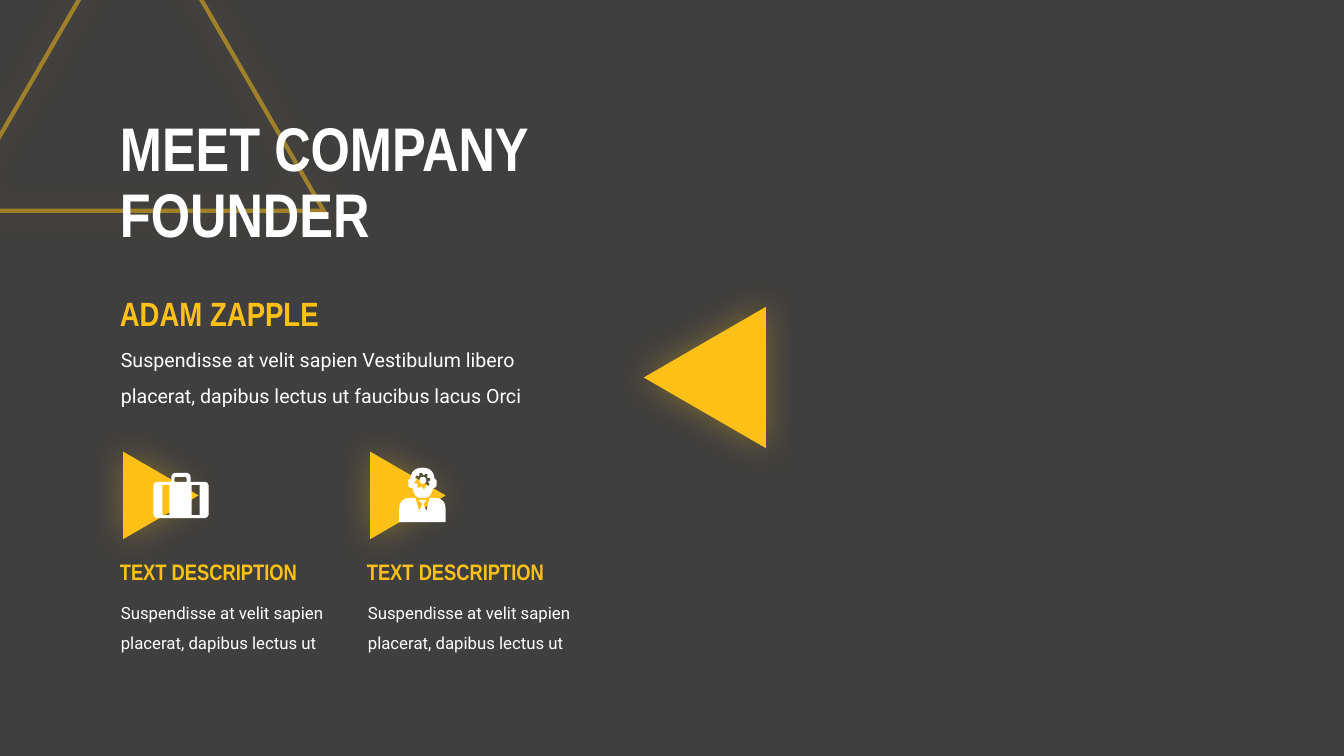
import math
from lxml import etree
from pptx import Presentation
from pptx import util as u
from pptx.dml.color import RGBColor
from pptx.enum import shapes, text
from pptx.oxml.ns import qn

GOLD = RGBColor(0xFF, 0xC1, 0x18)
WHITE = RGBColor(0xFF, 0xFF, 0xFF)
CHARCOAL = RGBColor(0x3F, 0x3F, 0x3F)

HEADING = {"name": "Arial Narrow", "bold": True}
BODY = {"name": "Roboto", "bold": False}


def rounded(corners, steps=6):
    """Turn (x, y, radius) corners into outline points."""
    points = []
    for i, (x, y, radius) in enumerate(corners):
        if not radius:
            points.append((x, y))
            continue
        ends = []
        for nx, ny, _ in (corners[i - 1], corners[(i + 1) % len(corners)]):
            share = radius / math.hypot(nx - x, ny - y)
            ends.append((x + share * (nx - x), y + share * (ny - y)))
        (ax, ay), (bx, by) = ends
        for step in range(steps + 1):
            t = step / steps
            a, c, b = (1 - t) ** 2, 2 * t * (1 - t), t * t
            points.append((a * ax + c * x + b * bx, a * ay + c * y + b * by))
    return points


def block(left, top, right, bottom, radius=0):
    """Rectangle whose top corners may be rounded."""
    return rounded([(left, top, radius), (right, top, radius),
                    (right, bottom, 0), (left, bottom, 0)])


def gear(x, y, inner, outer, teeth=8):
    points = []
    for tooth in range(teeth):
        for offset, radius in ((-17, inner), (-9, outer), (9, outer), (17, inner)):
            angle = math.radians(tooth * 360 / teeth + offset - 12)
            points.append((x + radius * math.cos(angle), y + radius * math.sin(angle)))
    return points


class FounderSlide:
    def __init__(self, deck):
        self.page = deck.slides.add_slide(deck.slide_layouts[5])
        fill = self.page.background.fill
        fill.solid()
        fill.fore_color.rgb = CHARCOAL

    def set_alpha(self, color, percent):
        etree.SubElement(color, qn("a:alpha"), val=str(percent * 1000))

    def paint(self, shape, color):
        shape.shadow.inherit = False
        shape.fill.solid()
        shape.fill.fore_color.rgb = color
        shape.line.fill.background()

    def glow(self, shape):
        shape.shadow.inherit = False
        effects = shape.element.spPr.find(qn("a:effectLst"))
        shadow = etree.SubElement(effects, qn("a:outerShdw"), blurRad=str(u.Pt(25)),
                                  dist="0", dir="0", algn="ctr", rotWithShape="0")
        self.set_alpha(etree.SubElement(shadow, qn("a:srgbClr"), val=str(GOLD)), 35)

    def preset(self, kind, place, color, parent=None):
        home = parent or self.page
        shape = home.shapes.add_shape(kind, *map(u.Inches, place))
        self.paint(shape, color)
        return shape

    def triangle(self, place, rotation=0):
        shape = self.preset(shapes.MSO_SHAPE.ISOSCELES_TRIANGLE, place, GOLD)
        shape.rotation = rotation
        self.glow(shape)
        return shape

    def outline_triangle(self, place):
        shape = self.triangle(place)
        shape.fill.background()
        shape.line.color.rgb = GOLD
        shape.line.width = u.Pt(3)
        line = shape.element.spPr.find(qn("a:ln"))
        self.set_alpha(line.find(".//" + qn("a:srgbClr")), 50)
        etree.SubElement(line, qn("a:miter"), lim="800000")

    def icon(self, contours, parent=None):
        home = parent or self.page
        start, *rest = contours
        builder = home.shapes.build_freeform(*(v * 1000 for v in start[0]),
                                             scale=u.Inches(1) / 1000)
        builder.add_line_segments([(x * 1000, y * 1000) for x, y in start[1:]])
        for contour in rest:
            builder.move_to(*(v * 1000 for v in contour[0]))
            builder.add_line_segments([(x * 1000, y * 1000) for x, y in contour[1:]])
        self.paint(builder.convert_to_shape(), WHITE)

    def set_text(self, box, words, style, size, color, spacing, frame_format):
        frame = box.text_frame
        for key, value in {"word_wrap": True, **frame_format}.items():
            setattr(frame, key, value)
        frame.text = words
        para = frame.paragraphs[0]
        para.alignment = text.PP_ALIGN.LEFT
        para.line_spacing = spacing
        for span in para.runs:
            for key, value in {**style, "size": u.Pt(size)}.items():
                setattr(span.font, key, value)
            span.font.color.rgb = color

    def label(self, place, words, style, size, color, spacing=1.0):
        box = self.page.shapes.add_textbox(*map(u.Inches, place))
        self.set_text(box, words, style, size, color, spacing,
                      {"auto_size": text.MSO_AUTO_SIZE.SHAPE_TO_FIT_TEXT})

    def title(self, place, words):
        box = self.page.shapes.title
        box.left, box.top, box.width, box.height = map(u.Inches, place)
        self.set_text(box, words, HEADING, 44, WHITE, 0.9,
                      {"auto_size": text.MSO_AUTO_SIZE.NONE,
                       "vertical_anchor": text.MSO_ANCHOR.MIDDLE})
        # Bring the title in front of what is already drawn
        box.element.getparent().append(box.element)


def main():
    deck = Presentation()
    deck.slide_width, deck.slide_height = u.Inches(13.33), u.Inches(7.5)
    slide = FounderSlide(deck)

    # Heading and founder
    slide.outline_triangle((-0.43, -1.05, 3.64, 3.14))
    slide.title((1.09, 1.04, 5.62, 1.58), "MEET COMPANY\vFOUNDER")
    slide.triangle((6.29, 3.14, 1.4, 1.21), 270)
    slide.label((1.1, 3.29, 4.51, 0.77),
                "Suspendisse at velit sapien Vestibulum libero placerat, "
                "dapibus lectus ut faucibus lacus Orci", BODY, 14, WHITE, 1.5)
    slide.label((1.09, 2.86, 2.45, 0.5), "ADAM ZAPPLE", HEADING, 24, GOLD)

    # Two description columns
    for column in range(2):
        shift = column * 2.45
        slide.triangle((1.16 + shift, 4.54, 0.87, 0.75), 90)
        slide.label((1.1 + shift, 5.83, 2.32, 0.67),
                    "Suspendisse at velit sapien placerat, dapibus lectus ut",
                    BODY, 12, WHITE, 1.5)
        slide.label((1.09 + shift, 5.49, 2.21, 0.37), "TEXT DESCRIPTION",
                    HEADING, 16, GOLD)

    # Suitcase icon
    case = rounded([(1.52, 4.78, 0.05), (1.7, 4.78, 0), (1.7, 4.69, 0.05),
                    (1.89, 4.69, 0.05), (1.89, 4.78, 0), (2.07, 4.78, 0.05),
                    (2.07, 5.14, 0.05), (1.52, 5.14, 0.05)])
    slide.icon([case, block(1.61, 4.81, 1.68, 5.11), block(1.9, 4.81, 1.98, 5.11),
                block(1.73, 4.73, 1.85, 4.78, 0.02)])

    # Thinker icon: suit, head with gear, gear hub
    thinker = slide.page.shapes.add_group_shape()
    suit = rounded([(3.96, 4.94, 0.11), (4.12, 4.94, 0), (4.16, 5.07, 0),
                    (4.19, 5, 0), (4.15, 4.96, 0), (4.23, 4.96, 0), (4.2, 5, 0),
                    (4.23, 5.07, 0), (4.26, 4.94, 0), (4.42, 4.94, 0.11),
                    (4.42, 5.18, 0), (3.96, 5.18, 0)])
    head = rounded([(4.31, 4.75, 0), (4.33, 4.76, 0.01), (4.33, 4.84, 0.03),
                    (4.3, 4.84, 0), (4.26, 4.94, 0.06), (4.12, 4.94, 0.06),
                    (4.09, 4.84, 0), (4.05, 4.84, 0.03), (4.05, 4.76, 0.01),
                    (4.07, 4.75, 0), (4.08, 4.64, 0.11), (4.3, 4.64, 0.11)])
    slide.icon([suit], thinker)
    slide.icon([head, gear(4.19, 4.77, 0.06, 0.08)], thinker)
    slide.preset(shapes.MSO_SHAPE.OVAL, (4.16, 4.73, 0.07, 0.07), WHITE, thinker)

    deck.save("out.pptx")


if __name__ == "__main__":
    main()
